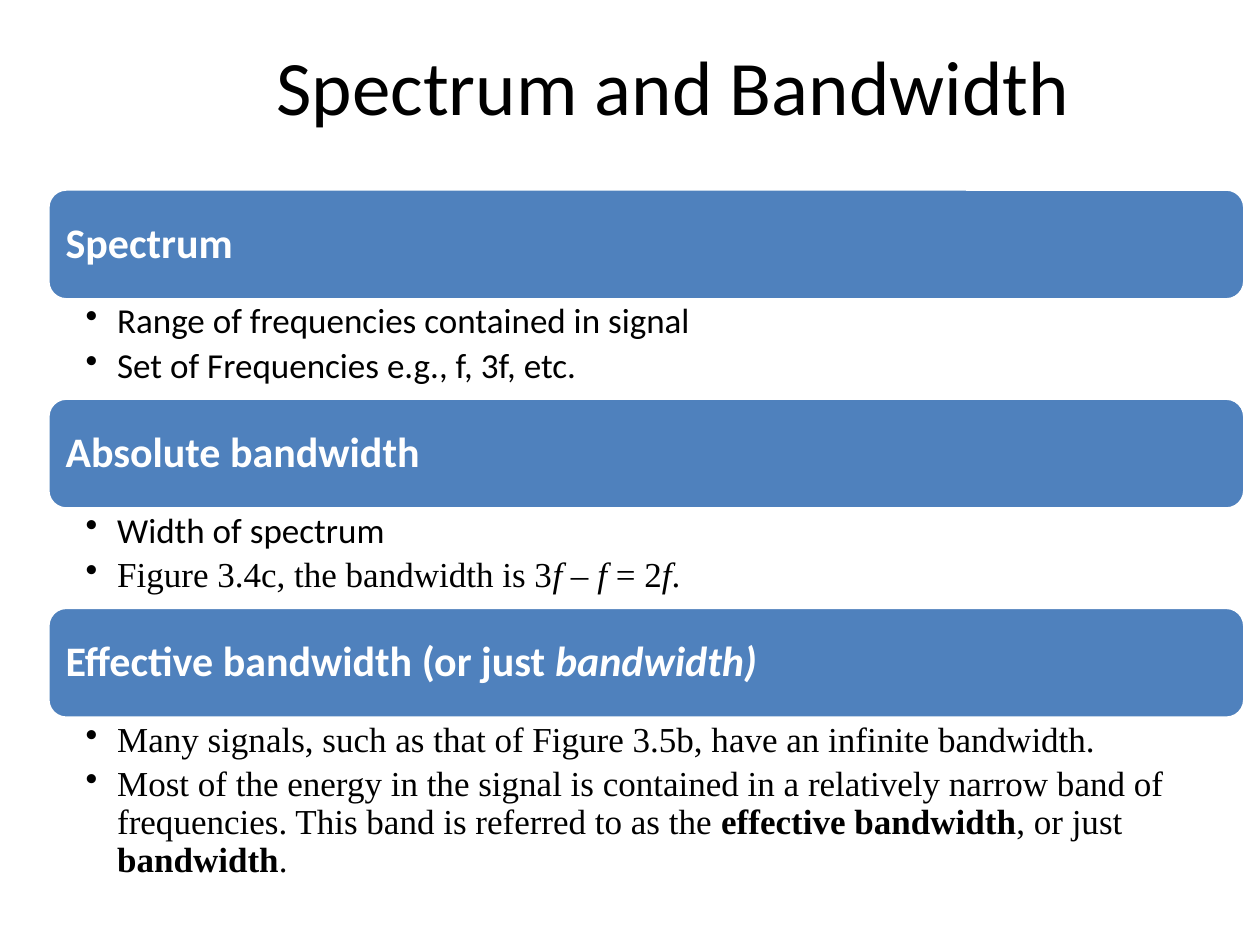
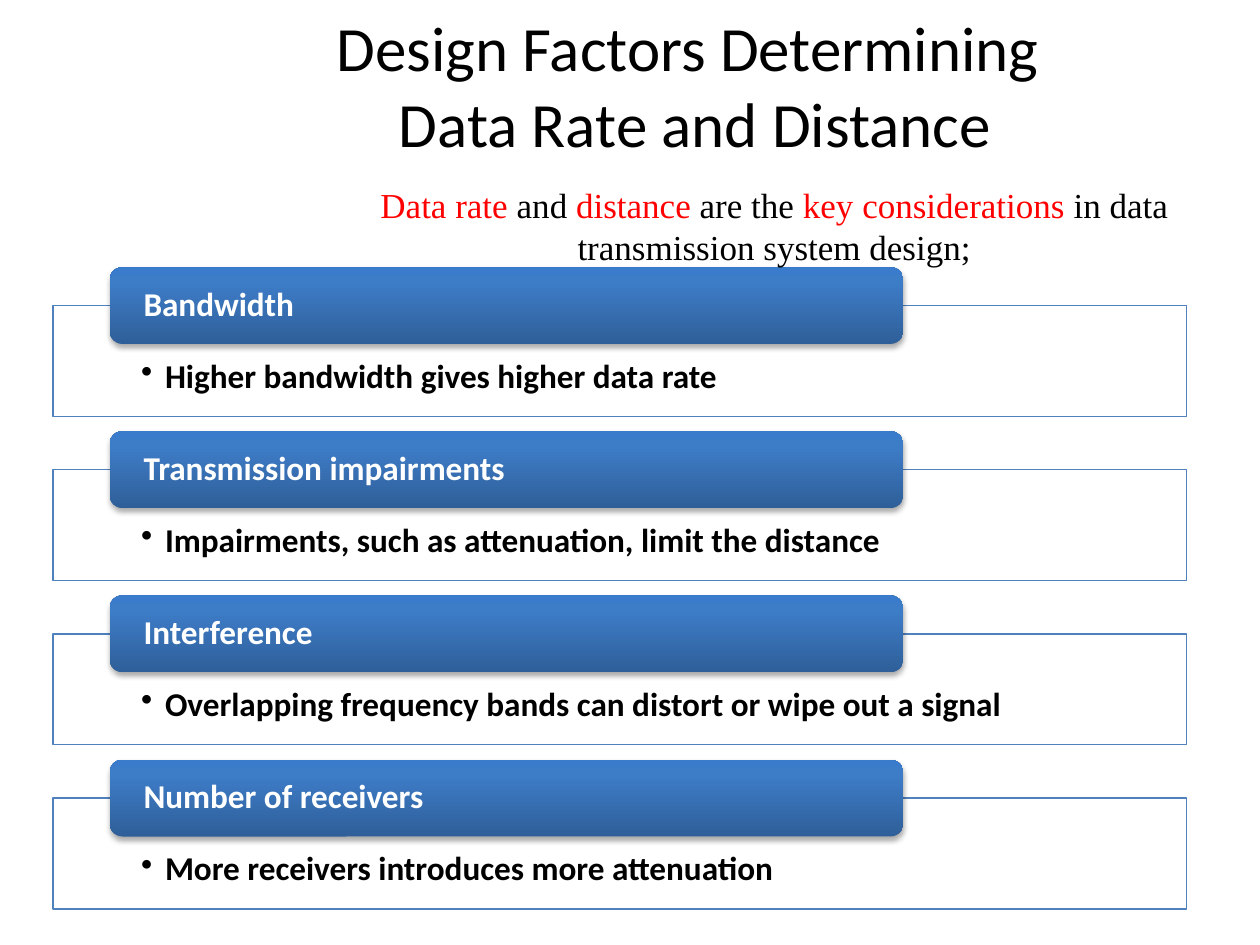
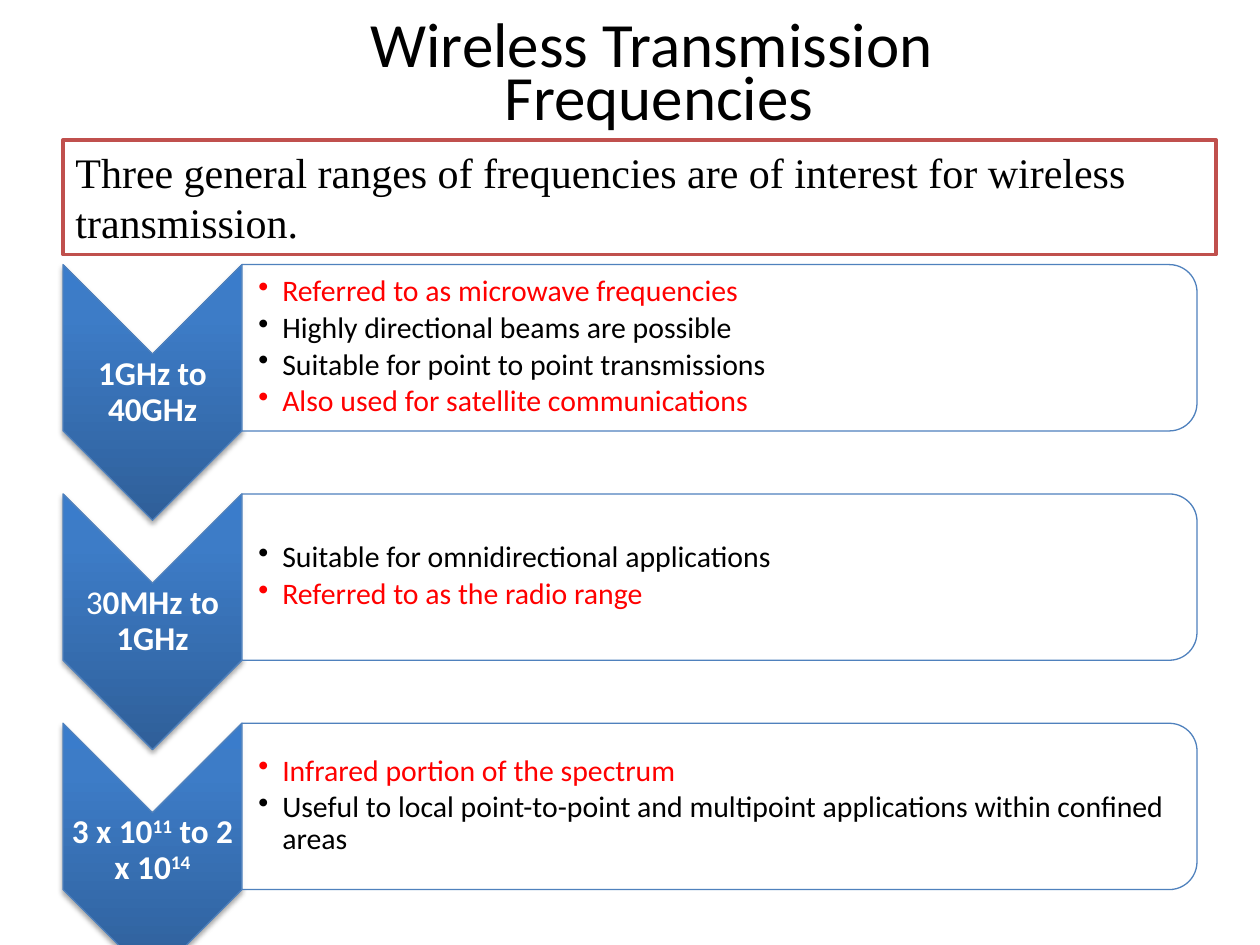
import dataclasses

import lxml.etree
import pptx
import pptx.dml.color
import pptx.enum.shapes
import pptx.enum.text
import pptx.oxml.ns
import pptx.util

SHAPES = pptx.enum.shapes.MSO_SHAPE
ALIGN = pptx.enum.text.PP_ALIGN
ANCHOR = pptx.enum.text.MSO_ANCHOR


@dataclasses.dataclass(frozen=True)
class Theme:
    sans: str = "Calibri"
    serif: str = "Times New Roman"
    black: str = "000000"
    white: str = "FFFFFF"
    red: str = "FF0000"
    blue: str = "4F81BD"
    brick: str = "C0504D"
    gradient: tuple = ((0, "2F5F99"), (80, "3D7CC7"), (100, "3A7CCB"))
    title_size: int = 44
    long_title_size: int = 36
    heading_size: int = 24
    body_size: int = 20
    label_size: int = 19
    note_size: int = 17
    thin_line: float = 0.75
    thick_line: float = 2


THEME = Theme()
RED = {"color": THEME.red}
SERIF = {"name": THEME.serif}
SERIF_ITALIC = {"name": THEME.serif, "italic": True}
SERIF_BOLD = {"name": THEME.serif, "bold": True}
BOLD = {"bold": True}
SUPERSCRIPT = {"bold": True, "baseline": 30}


def add_child(parent, tag, **attributes):
    """Append a DrawingML element such as a:alpha, with attributes as text."""
    texts = {key: str(value) for key, value in attributes.items()}
    return lxml.etree.SubElement(parent, pptx.oxml.ns.qn(tag), texts)


def rgb(color):
    return pptx.dml.color.RGBColor.from_string(color)


class Deck:
    """Draws on the current slide; lengths are cells of a 100 by 75 grid."""

    COLUMNS, ROWS = 100, 75

    def __init__(self, width, height):
        self.presentation = pptx.Presentation()
        self.presentation.slide_width = pptx.util.Inches(width)
        self.presentation.slide_height = pptx.util.Inches(height)
        self.slide = None

    def new_slide(self):
        blank = self.presentation.slide_layouts[6]
        self.slide = self.presentation.slides.add_slide(blank)

    def across(self, columns):
        return pptx.util.Emu(round(columns * self.presentation.slide_width / self.COLUMNS))

    def down(self, rows):
        return pptx.util.Emu(round(rows * self.presentation.slide_height / self.ROWS))

    def frame(self, box):
        left, top, width, height = box
        return self.across(left), self.down(top), self.across(width), self.down(height)

    def shape(self, kind, box, fill=None, line=None, line_width=THEME.thin_line,
              opacity=100, quarter_turn=False):
        """Add a preset shape; box is the area it covers after any turn.

        Without a fill colour the shape gets the theme gradient and a soft shadow.
        """
        if quarter_turn:
            left, top, width, height = box
            shift = (width - height) / 2
            box = (left + shift, top - shift, height, width)
        shape = self.slide.shapes.add_shape(kind, *self.frame(box))
        shape.rotation = 90 if quarter_turn else 0
        shape.shadow.inherit = False
        if line:
            shape.line.color.rgb = rgb(line)
            shape.line.width = pptx.util.Pt(line_width)
        else:
            shape.line.fill.background()
        if fill is None:
            self.glossy(shape)
            return shape
        shape.fill.solid()
        shape.fill.fore_color.rgb = rgb(fill)
        if opacity < 100:
            color = shape._element.spPr.find(".//" + pptx.oxml.ns.qn("a:srgbClr"))
            add_child(color, "a:alpha", val=opacity * 1000)
        return shape

    def glossy(self, shape):
        """Give the shape an upright gradient and a shadow below."""
        shape.fill.gradient()
        properties = shape._element.spPr
        gradient = properties.find(pptx.oxml.ns.qn("a:gradFill"))
        gradient.clear()
        gradient.set("rotWithShape", "0")
        stops = add_child(gradient, "a:gsLst")
        for position, color in THEME.gradient:
            stop = add_child(stops, "a:gs", pos=position * 1000)
            add_child(stop, "a:srgbClr", val=color)
        add_child(gradient, "a:lin", ang=270 * 60000, scaled=0)
        effects = properties.find(pptx.oxml.ns.qn("a:effectLst"))
        shadow = add_child(effects, "a:outerShdw", blurRad=pptx.util.Pt(3.1),
                           dist=pptx.util.Pt(1.8), dir=90 * 60000, rotWithShape=0)
        add_child(add_child(shadow, "a:srgbClr", val=THEME.black), "a:alpha", val=35000)

    def text_box(self, box):
        return self.slide.shapes.add_textbox(*self.frame(box))

    def add_text(self, shape, paragraphs, size, insets=(1, 0.5, 1, 0.5), anchor=ANCHOR.TOP,
                 align=ALIGN.LEFT, spacing=None, indent=0, gap=0, **base):
        """Fill a shape with paragraphs, each a text or a list of texts and (text, format) runs.

        An indent, in columns, makes the paragraphs bulleted.
        """
        left, top, right, bottom = insets
        text_frame = shape.text_frame
        frame_format = {
            "word_wrap": True, "vertical_anchor": anchor,
            "margin_left": self.across(left), "margin_right": self.across(right),
            "margin_top": self.down(top), "margin_bottom": self.down(bottom),
        }
        paragraph_format = {"alignment": align, "line_spacing": spacing,
                            "space_after": pptx.util.Pt(gap)}
        self.apply(text_frame, frame_format)
        base = {"name": THEME.sans, "color": THEME.black, "size": pptx.util.Pt(size), **base}
        for index, runs in enumerate(paragraphs):
            paragraph = text_frame.add_paragraph() if index else text_frame.paragraphs[0]
            self.apply(paragraph, paragraph_format)
            if indent:
                self.bullet(paragraph, indent)
            for run in [runs] if isinstance(runs, str) else runs:
                text, changes = (run, {}) if isinstance(run, str) else run
                self.add_run(paragraph, text, {**base, **changes})

    @staticmethod
    def apply(target, values):
        for name, value in values.items():
            setattr(target, name, value)

    def bullet(self, paragraph, indent):
        paragraph.level = 1
        properties = paragraph._p.get_or_add_pPr()
        properties.set("marL", str(self.across(indent)))
        properties.set("indent", str(-self.across(indent)))
        add_child(properties, "a:buChar", char="•")

    def add_run(self, paragraph, text, font_format):
        """Add a run, with a line break wherever the text has a newline."""
        color = font_format.pop("color")
        baseline = font_format.pop("baseline", 0)
        for index, line in enumerate(text.split("\n")):
            if index:
                paragraph.add_line_break()
            run = paragraph.add_run()
            run.text = line
            self.apply(run.font, font_format)
            run.font.color.rgb = rgb(color)
            if baseline:
                run._r.get_or_add_rPr().set("baseline", str(baseline * 1000))

    def title(self, text, box, size=THEME.long_title_size, spacing=None):
        self.add_text(self.text_box(box), [text], size, anchor=ANCHOR.MIDDLE,
                      align=ALIGN.CENTER, spacing=spacing)


def spectrum_slide(deck):
    deck.new_slide()
    deck.title("Spectrum and Bandwidth", (12.5, 1.7, 81.9, 10), THEME.title_size)
    definitions = [
        ("Spectrum", 7.8,
         ["Range of frequencies contained in signal",
          "Set of Frequencies e.g., f, 3f, etc."]),
        ("Absolute bandwidth", 7.8,
         ["Width of spectrum",
          [("Figure 3.4c, the bandwidth is 3", SERIF), ("f", SERIF_ITALIC), (" – ", SERIF),
           ("f", SERIF_ITALIC), (" = 2", SERIF), ("f", SERIF_ITALIC), (".", SERIF)]]),
        (["Effective bandwidth (or just ", ("bandwidth)", {"italic": True})], 13.4,
         [[("Many signals, such as that of Figure 3.5b, have an infinite bandwidth.", SERIF)],
          [("Most of the energy in the signal is contained in a relatively narrow band of "
            "frequencies. This band is referred to as the ", SERIF),
           ("effective bandwidth", SERIF_BOLD), (", or just ", SERIF),
           ("bandwidth", SERIF_BOLD), (".", SERIF)]]),
    ]
    left, top, width, bar_height = 3.8, 15, 95, 8.8
    for term, details_height, details in definitions:
        bar = deck.shape(SHAPES.ROUNDED_RECTANGLE, (left, top, width, bar_height),
                         THEME.blue, THEME.white, THEME.thick_line)
        deck.add_text(bar, [term], THEME.heading_size, (1, 1, 1, 1), ANCHOR.MIDDLE,
                      spacing=0.9, color=THEME.white, bold=True)
        top += bar_height
        deck.add_text(deck.text_box((left, top, width, details_height)), details,
                      THEME.body_size, (3, 0.3, 1.6, 0.3), spacing=0.9, indent=2.5, gap=4)
        top += details_height


def design_factors_slide(deck):
    deck.new_slide()
    deck.title("Design Factors Determining \nData Rate and Distance", (14.2, 1.7, 81.9, 10))
    factors = [
        ("Bandwidth", "Higher bandwidth gives higher data rate"),
        ("Transmission impairments", "Impairments, such as attenuation, limit the distance"),
        ("Interference", "Overlapping frequency bands can distort or wipe out a signal"),
        ("Number of receivers", "More receivers introduces more attenuation"),
    ]
    for index, (factor, effect) in enumerate(factors):
        top = 21.2 + 13.03 * index
        panel = deck.shape(SHAPES.RECTANGLE, (4.2, top + 3.05, 90, 8.8),
                           THEME.white, THEME.blue, opacity=90)
        deck.add_text(panel, [effect], THEME.label_size, (7, 4.3, 7, 1.5),
                      spacing=0.9, indent=1.9, bold=True)
        tab = deck.shape(SHAPES.ROUNDED_RECTANGLE, (8.7, top, 63, 6.1))
        deck.add_text(tab, [factor], THEME.label_size, (2.4, 0, 2.4, 0), ANCHOR.MIDDLE,
                      spacing=0.9, color=THEME.white, bold=True)
    summary = [("Data rate ", RED), "and ", ("distance", RED), " are the ",
               ("key considerations ", RED), "in data transmission system design;"]
    deck.add_text(deck.text_box((26.4, 14.1, 70.1, 7.7)), [summary], THEME.body_size,
                  align=ALIGN.CENTER, **SERIF)


def frequencies_slide(deck):
    deck.new_slide()
    deck.title("Wireless Transmission \nFrequencies", (7.3, -1.7, 90, 15.8), spacing=0.7)
    ranges = [
        ([("1GHz to 40GHz", BOLD)],
         [[("Referred to as microwave frequencies", RED)],
          "Highly directional beams are possible",
          "Suitable for point to point transmissions",
          [("Also used for satellite communications", RED)]]),
        (["3", ("0MHz to 1GHz", BOLD)],
         ["Suitable for omnidirectional applications",
          [("Referred to as the radio range", RED)]]),
        ([("3 x 10", BOLD), ("11", SUPERSCRIPT), (" to 2 x 10", BOLD), ("14", SUPERSCRIPT)],
         [[("Infrared portion of the spectrum", RED)],
          "Useful to local point-to-point and multipoint applications within confined areas"]),
    ]
    left, arrow_width = 5, 14.2
    for index, (band, uses) in enumerate(ranges):
        top = 21 + 18.2 * index
        deck.shape(SHAPES.CHEVRON, (left, top, arrow_width, 20.3), line=THEME.blue,
                   quarter_turn=True)
        deck.add_text(deck.text_box((left, top + 7.1, arrow_width, 6.1)), [band],
                      THEME.label_size, (0.1, 0.1, 0.1, 0.1), ANCHOR.MIDDLE, ALIGN.CENTER,
                      spacing=0.9, color=THEME.white)
        panel_left = left + arrow_width
        deck.shape(SHAPES.ROUND_2_SAME_RECTANGLE, (panel_left, top, 75.8, 13.2),
                   THEME.white, THEME.blue, opacity=90, quarter_turn=True)
        deck.add_text(deck.text_box((panel_left, top + 0.6, 75.2, 11.9)), uses,
                      THEME.note_size, (1.3, 0.1, 0.1, 0.1), ANCHOR.MIDDLE,
                      spacing=0.9, indent=1.9, gap=2.55)
    statement = deck.shape(SHAPES.RECTANGLE, (5, 11.1, 91.5, 9.1), THEME.white,
                           THEME.brick, THEME.thick_line)
    deck.add_text(statement,
                  ["Three general ranges of frequencies are of interest for wireless transmission."],
                  THEME.heading_size, **SERIF)


def main():
    deck = Deck(10, 7.5)
    spectrum_slide(deck)
    design_factors_slide(deck)
    frequencies_slide(deck)
    deck.presentation.save("out.pptx")


if __name__ == "__main__":
    main()
